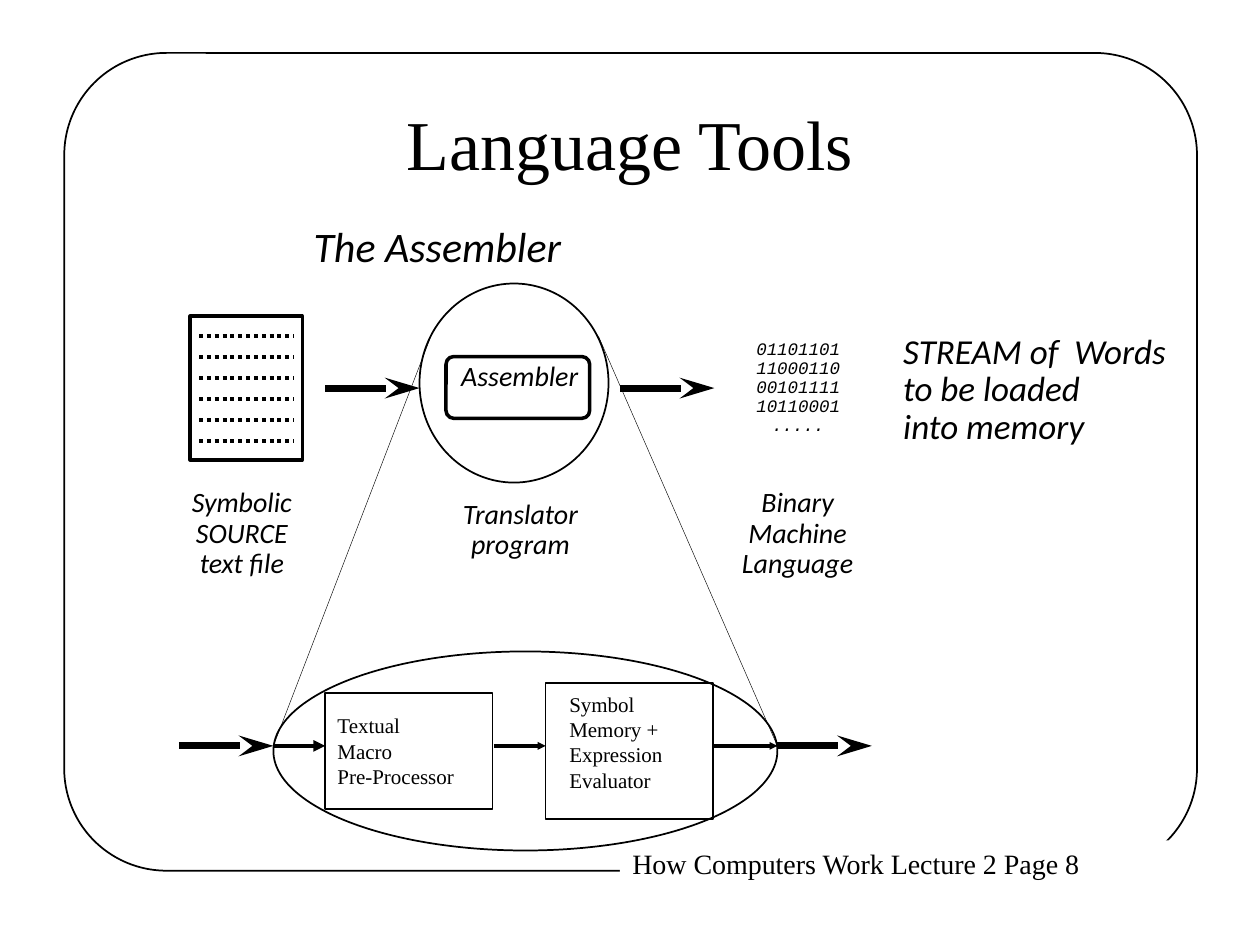
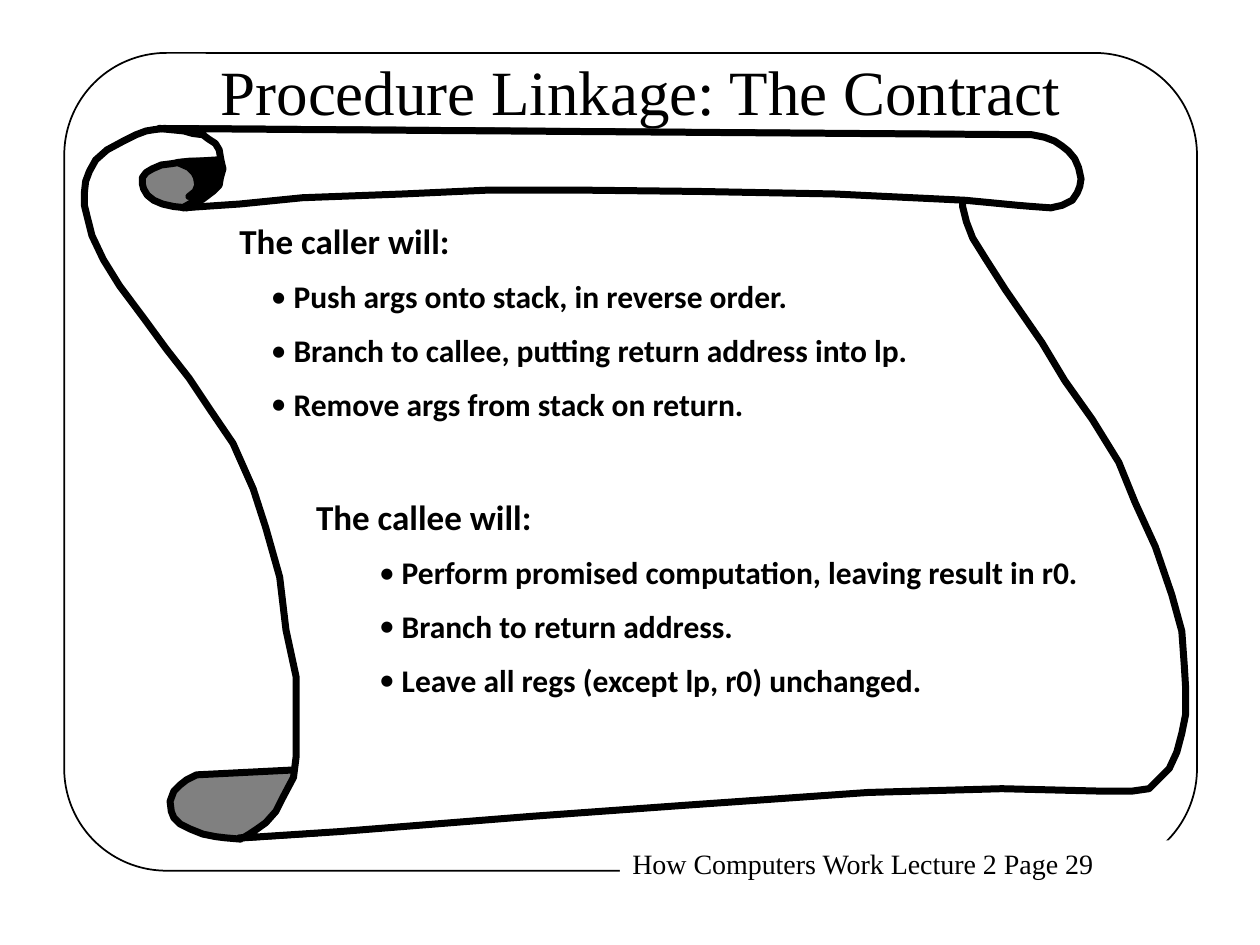
import pptx
import pptx.dml.color
import pptx.enum.dml
import pptx.enum.shapes
import pptx.enum.text
import pptx.oxml
import pptx.oxml.ns
import pptx.util
from pptx.util import Inches, Pt

RGBColor = pptx.dml.color.RGBColor
MSO_SHAPE = pptx.enum.shapes.MSO_SHAPE
PP_ALIGN = pptx.enum.text.PP_ALIGN
MSO_ANCHOR = pptx.enum.text.MSO_ANCHOR
MSO_AUTO_SIZE = pptx.enum.text.MSO_AUTO_SIZE

BLACK = RGBColor(0x00, 0x00, 0x00)
WHITE = RGBColor(0xFF, 0xFF, 0xFF)
GRAY = RGBColor(0x80, 0x80, 0x80)
SERIF, SANS, MONO = "Times New Roman", "Calibri", "Courier New"
LEFT, CENTER = PP_ALIGN.LEFT, PP_ALIGN.CENTER
FOOTER = "How Computers Work Lecture 2 Page {}"

# Labels: lines, (left, top, width, height), size, font, alignment
LABELS = [
    (["The Assembler"], (2.39, 1.75, 2.33, 0.46), 24, SANS, LEFT),
    (["Assembler"], (3.52, 2.83, 1.21, 0.34), 16, SANS, CENTER),
    (["01101101", "11000110", "00101111", "10110001", "....."],
     (5.9, 2.65, 0.87, 0.85), 10, MONO, CENTER),
    (["Symbolic", "SOURCE", "text file"], (1.38, 3.83, 1.08, 0.82), 16, SANS, CENTER),
    (["Binary", "Machine", "Language"], (5.74, 3.83, 1.18, 0.82), 16, SANS, CENTER),
    (["Translator", "program"], (3.52, 3.92, 1.22, 0.58), 16, SANS, CENTER),
    (["STREAM of  Words", "to be loaded", "into memory"],
     (7.07, 2.6, 2.42, 1), 20, SANS, LEFT),
    (["Textual", "Macro", "Pre-Processor"], (2.58, 5.61, 1.16, 0.7), 12, SERIF, LEFT),
    (["Symbol", "Memory +", "Expression", "Evaluator"],
     (4.42, 5.44, 0.94, 0.9), 12, SERIF, LEFT),
]

# Assembler diagram: shape, (left, top, width, height), fill, line width
SOURCE_FILE = (1.51, 2.51, 0.89, 1.14)
DIAGRAM_SHAPES = [
    (MSO_SHAPE.RECTANGLE, SOURCE_FILE, WHITE, 2),
    (MSO_SHAPE.ROUNDED_RECTANGLE, (3.54, 2.83, 1.14, 0.49), WHITE, 2),
    (MSO_SHAPE.OVAL, (3.33, 2.25, 1.5, 1.58), None, 1),
    (MSO_SHAPE.RECTANGLE, (2.58, 5.5, 1.33, 0.92), None, 1),
    (MSO_SHAPE.RECTANGLE, (4.33, 5.42, 1.33, 1.08), None, 1),
    (MSO_SHAPE.OVAL, (2.17, 5.17, 4, 1.58), None, 1),
]
SOURCE_LINE_COUNT = 6
UPPER_FLOW, LOWER_FLOW = 3.08, 5.92
BIG_ARROWS = [(2.58, UPPER_FLOW), (4.92, UPPER_FLOW), (1.42, LOWER_FLOW), (6.17, LOWER_FLOW)]
BIG_ARROW_LENGTH = 0.75
# Inner arrows: start, end, head size
INNER_ARROWS = [(2.17, 2.58, "med"), (3.92, 4.33, "sm"), (5.67, 6.17, "sm")]
ZOOM_LINES = [((3.42, 2.67), (2.17, LOWER_FLOW)), ((4.75, 2.67), (6.17, LOWER_FLOW))]

# Contract: heading, items, box, insets, bullet position
CONTRACT = [
    ("The caller will:",
     ["Push args onto stack, in reverse order.",
      "Branch to callee, putting return address into lp.",
      "Remove args from stack on return."],
     (1.85, 1.75, 6.32, 1.9), (0.05, 0.03), 0.25),
    ("The callee will:",
     ["Perform promised computation, leaving result in r0.",
      "Branch to return address.",
      "Leave all regs (except lp, r0) unchanged."],
     (2.41, 3.92, 6.61, 1.95), (0.1, 0.05), 0.5),
]
BULLET_GAP = 0.18

BOTTOM_CURL = [
    (2.35, 6.11), (1.56, 6.15), (1.48, 6.19), (1.43, 6.23), (1.38, 6.28), (1.35, 6.36),
    (1.36, 6.44), (1.38, 6.49), (1.43, 6.54), (1.51, 6.58), (1.61, 6.62), (1.71, 6.64),
    (1.79, 6.65), (1.91, 6.66), (1.9, 6.65), (2.52, 6.61), (2.91, 6.11)]
PARCHMENT = [
    (1.22, 1.03), (1.16, 1.04), (1.08, 1.07), (0.98, 1.12), (0.85, 1.19), (0.76, 1.27),
    (0.71, 1.36), (0.68, 1.44), (0.67, 1.53), (0.67, 1.63), (0.69, 1.71), (0.71, 1.79),
    (0.73, 1.87), (0.82, 2.06), (0.95, 2.27), (1.13, 2.51), (1.32, 2.77), (1.5, 3),
    (1.66, 3.24), (1.85, 3.52), (2.01, 3.88), (2.11, 4.19), (2.22, 4.58), (2.27, 5),
    (2.35, 5.37), (2.35, 5.58), (2.35, 5.84), (2.35, 6.01), (2.33, 6.17), (2.24, 6.34),
    (2.19, 6.44), (2.11, 6.53), (2.04, 6.58), (1.98, 6.62), (1.93, 6.65), (2.7, 6.6),
    (4.21, 6.48), (5.46, 6.39), (6.89, 6.29), (7.95, 6.26), (8.77, 6.28), (8.98, 6.28),
    (9.12, 6.26), (9.2, 6.18), (9.28, 6.1), (9.34, 5.97), (9.38, 5.82), (9.41, 5.67),
    (9.41, 5.46), (9.4, 5.29), (9.38, 5.01), (9.3, 4.72), (9.17, 4.34), (9.01, 3.99),
    (8.88, 3.67), (8.67, 3.33), (8.45, 3.02), (8.27, 2.72), (7.98, 2.3), (7.82, 2.05),
    (7.72, 1.89), (7.67, 1.76), (7.64, 1.64), (7.64, 1.53), (7.76, 1.15), (7.82, 1.07),
    (1.3, 1.02)]
TOP_CURL = [
    (1.85, 1.3), (1.66, 1.62), (1.48, 1.65), (1.38, 1.64), (1.29, 1.62), (1.22, 1.59),
    (1.17, 1.55), (1.14, 1.5), (1.13, 1.46), (1.13, 1.41), (1.16, 1.37), (1.21, 1.34),
    (1.28, 1.31), (1.36, 1.3), (1.42, 1.29), (1.5, 1.28), (1.56, 1.28), (1.63, 1.28)]
CURL_SHADE = [
    (1.41, 1.29), (1.5, 1.33), (1.54, 1.37), (1.56, 1.41), (1.57, 1.47), (1.55, 1.52),
    (1.5, 1.56), (1.91, 1.51), (1.87, 1.26)]
TOP_ROLL = [
    (8.19, 1.07), (1.26, 1.02), (1.46, 1.04), (1.53, 1.06), (1.61, 1.07), (1.65, 1.1),
    (1.71, 1.14), (1.74, 1.19), (1.75, 1.25), (1.76, 1.3), (1.77, 1.34), (1.75, 1.41),
    (1.74, 1.47), (1.69, 1.52), (1.61, 1.58), (1.52, 1.61), (1.45, 1.65), (1.9, 1.62),
    (2.4, 1.57), (3.2, 1.54), (3.86, 1.51), (4.66, 1.51), (5.54, 1.52), (6.62, 1.54),
    (7.66, 1.59), (8.08, 1.63), (8.2, 1.64), (8.34, 1.65), (8.43, 1.63), (8.51, 1.59),
    (8.55, 1.53), (8.57, 1.48), (8.58, 1.42), (8.56, 1.33), (8.53, 1.26), (8.48, 1.2),
    (8.43, 1.16), (8.37, 1.12), (8.29, 1.09)]
SCROLL = [(BOTTOM_CURL, GRAY), (PARCHMENT, WHITE), (TOP_CURL, GRAY),
          (CURL_SHADE, BLACK), (TOP_ROLL, WHITE)]


def inches(values):
    return [Inches(value) for value in values]


def paint(shape, fill, line_width):
    """Give a shape a flat fill and a black outline; None leaves either out."""
    shape.shadow.inherit = False
    if fill is None:
        shape.fill.background()
    else:
        shape.fill.solid()
        shape.fill.fore_color.rgb = fill
    if line_width is None:
        shape.line.fill.background()
    else:
        shape.line.color.rgb = BLACK
        shape.line.width = Pt(line_width)


def add_shape(slide, kind, box, fill, line_width):
    shape = slide.shapes.add_shape(kind, *inches(box))
    if kind == MSO_SHAPE.ROUNDED_RECTANGLE:
        shape.adjustments[0] = 0.125
    paint(shape, fill, line_width)
    return shape


def add_line(slide, start, end, width, head=None, head_width="med", head_length="med"):
    line = slide.shapes.add_connector(
        pptx.enum.shapes.MSO_CONNECTOR.STRAIGHT, *inches(start + end))
    line.line.color.rgb = BLACK
    line.line.width = Pt(width)
    properties = line._element.spPr
    if head:
        outline = properties.find(pptx.oxml.ns.qn("a:ln"))
        outline.append(outline.makeelement(
            pptx.oxml.ns.qn("a:tailEnd"), {"type": head, "w": head_width, "len": head_length}))
    properties.append(properties.makeelement(pptx.oxml.ns.qn("a:effectLst"), {}))
    return line


def set_insets(frame, horizontal, vertical):
    frame.margin_left = frame.margin_right = Inches(horizontal)
    frame.margin_top = frame.margin_bottom = Inches(vertical)


def style(paragraph, size, font, alignment=LEFT, bold=False, italic=False):
    paragraph.alignment = alignment
    paragraph.font.size = Pt(size)
    paragraph.font.name = font
    paragraph.font.bold = bold
    paragraph.font.italic = italic
    paragraph.font.color.rgb = BLACK


def add_label(slide, lines, box, size, font, alignment):
    frame = slide.shapes.add_textbox(*inches(box)).text_frame
    frame.word_wrap = False
    frame.auto_size = MSO_AUTO_SIZE.SHAPE_TO_FIT_TEXT
    frame.text = "\n".join(lines)
    for paragraph in frame.paragraphs:
        if font != SERIF:
            paragraph.line_spacing = 0.9
        style(paragraph, size, font, alignment, italic=font != SERIF)


def add_bullet(paragraph, position):
    properties = paragraph._p.get_or_add_pPr()
    properties.set("marL", str(Inches(position + BULLET_GAP)))
    properties.set("indent", str(-Inches(BULLET_GAP)))
    for tag, attributes in (("a:buFont", {"typeface": SANS}), ("a:buChar", {"char": "•"})):
        properties.append(properties.makeelement(pptx.oxml.ns.qn(tag), attributes))


def add_contract_part(slide, heading, items, box, insets, bullet_position):
    frame = slide.shapes.add_textbox(*inches(box)).text_frame
    frame.word_wrap = True
    set_insets(frame, *insets)
    frame.text = "\n".join([heading] + items)
    for index, paragraph in enumerate(frame.paragraphs):
        paragraph.line_spacing = 0.9
        if index:
            paragraph.space_before = Pt(11.2)
            add_bullet(paragraph, bullet_position)
        style(paragraph, 18 if index else 20, SANS, bold=True)


def add_framed_slide(presentation, title, page, title_box, title_size, anchor, insets):
    """Add a slide with the rounded frame, the page footer and its title."""
    slide = presentation.slides.add_slide(presentation.slide_layouts.get_by_name("Title Only"))
    add_shape(slide, MSO_SHAPE.ROUNDED_RECTANGLE, (0.51, 0.42, 8.99, 6.49), None, 1)
    footer = add_shape(slide, MSO_SHAPE.RECTANGLE, (4.92, 6.67, 4.59, 0.37), WHITE, None)
    footer.text_frame.text = FOOTER.format(page)
    style(footer.text_frame.paragraphs[0], 16, SERIF)

    placeholder = slide.shapes.title
    placeholder.left, placeholder.top, placeholder.width, placeholder.height = inches(title_box)
    frame = placeholder.text_frame
    frame.text = title
    frame.auto_size = MSO_AUTO_SIZE.NONE
    frame.vertical_anchor = anchor
    set_insets(frame, *insets)
    style(frame.paragraphs[0], title_size, SERIF, CENTER)
    return slide


def build_language_tools(presentation):
    slide = add_framed_slide(presentation, "Language Tools", 8, (0.75, 0.67, 8.5, 0.92),
                             40, MSO_ANCHOR.MIDDLE, (0.1, 0.05))
    for kind, box, fill, line_width in DIAGRAM_SHAPES:
        add_shape(slide, kind, box, fill, line_width)
    left, top, width, _ = SOURCE_FILE
    for index in range(SOURCE_LINE_COUNT):
        y = top + 0.16 + index / 6
        line = add_line(slide, (left + 0.07, y), (left + width - 0.07, y), 2.25)
        line.line.dash_style = pptx.enum.dml.MSO_LINE.ROUND_DOT
    for x, y in BIG_ARROWS:
        add_line(slide, (x, y), (x + BIG_ARROW_LENGTH, y), 4, "stealth", head_length="lg")
    for start, end, size in INNER_ARROWS:
        add_line(slide, (start, LOWER_FLOW), (end, LOWER_FLOW), 2.25, "triangle", size, size)
    for start, end in ZOOM_LINES:
        add_line(slide, start, end, 0.25)
    for label in LABELS:
        add_label(slide, *label)


def build_contract(presentation):
    slide = add_framed_slide(presentation, "Procedure Linkage: The Contract", 29,
                             (1, 0.39, 8.17, 0.66), 36, MSO_ANCHOR.TOP, (0.07, 0.03))
    for points, fill in SCROLL:
        start, *others = [inches(point) for point in points]
        builder = slide.shapes.build_freeform(*start)
        builder.add_line_segments(others, close=True)
        paint(builder.convert_to_shape(), fill, 4)
    for part in CONTRACT:
        add_contract_part(slide, *part)


def main():
    presentation = pptx.Presentation()
    presentation.slide_width, presentation.slide_height = Inches(10), Inches(7.5)
    build_language_tools(presentation)
    build_contract(presentation)
    presentation.save("out.pptx")


if __name__ == "__main__":
    main()
